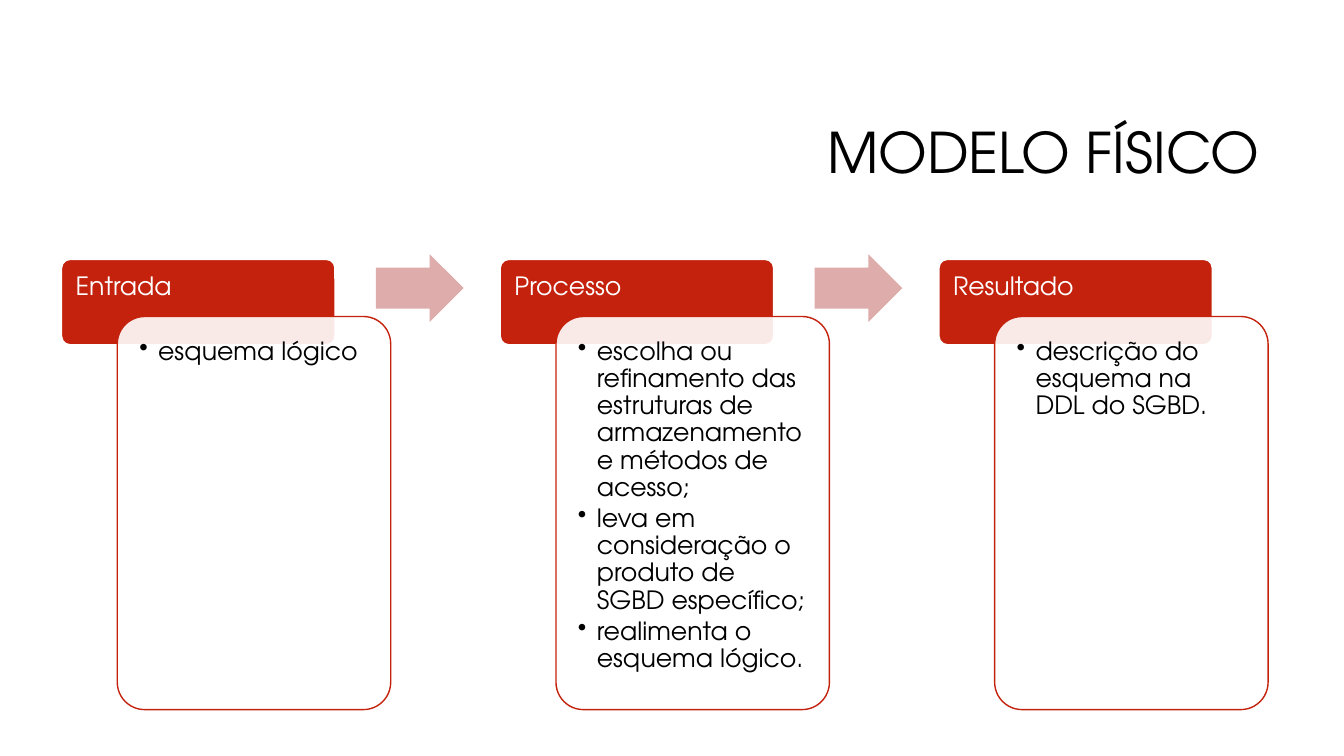
from lxml import etree
from pptx import Presentation
from pptx.dml.color import RGBColor
from pptx.enum.shapes import MSO_SHAPE as Shape
from pptx.enum.text import MSO_ANCHOR as Anchor, PP_ALIGN as Align
from pptx.oxml.ns import qn
from pptx.util import Pt

TITLE = "MODELO FÍSICO"
STAGES = [
    ("Entrada", ["esquema lógico"]),
    ("Processo", [
        "escolha ou refinamento das estruturas de armazenamento e métodos de acesso;",
        "leva em consideração o produto de SGBD específico;",
        "realimenta o esquema lógico.",
    ]),
    ("Resultado", ["descrição do esquema na DDL do SGBD."]),
]

FONT = "TeX Gyre Adventor"
RED, PINK, WHITE, BLACK = "C4220D", "DEACAB", "FFFFFF", "000000"
LEFT, PITCH, WIDTH = 44, 313.35, 195.3
HEADER_TOP, HEADER_HEIGHT = 185.3, 61
CARD_SHIFT, CARD_TOP, CARD_HEIGHT = 39.8, 226.1, 280.8
ARROW_SHIFT, ARROW_TOP, ARROW_WIDTH, ARROW_HEIGHT = 224.5, 181.5, 62.7, 48.6
BULLET_INDENT = 13.5


def color(code):
    return RGBColor.from_string(code)


def add_block(page, kind, place, adjustments, fill, line=None):
    block = page.shapes.add_shape(kind, *map(Pt, place))
    for index, value in enumerate(adjustments):
        block.adjustments[index] = value
    block.shadow.inherit = False
    block.fill.solid()
    block.fill.fore_color.rgb = color(fill)
    if line:
        block.line.color.rgb = color(line)
        block.line.width = Pt(1)
    else:
        block.line.fill.background()
    return block


def write(box, lines, size, ink, align=Align.LEFT, anchor=Anchor.TOP,
          insets=(7.2, 3.6, 7.2, 3.6), space_after=0):
    frame = box.text_frame
    frame.word_wrap = True
    frame.vertical_anchor = anchor
    (frame.margin_left, frame.margin_top,
     frame.margin_right, frame.margin_bottom) = map(Pt, insets)
    frame.text = "\n".join(lines)
    for para in frame.paragraphs:
        para.alignment = align
        para.line_spacing = 0.9
        para.space_after = Pt(space_after)
        para.font.name = FONT
        para.font.size = Pt(size)
        para.font.color.rgb = color(ink)


def add_bullets(box):
    for para in box.text_frame.paragraphs:
        settings = para._p.get_or_add_pPr()
        settings.set("marL", str(Pt(BULLET_INDENT)))
        settings.set("indent", str(-Pt(BULLET_INDENT)))
        bullet = etree.Element(qn("a:buChar"), char="•")
        settings.find(qn("a:defRPr")).addprevious(bullet)


def set_opacity(block, percent):
    tone = block._element.spPr.find(qn("a:solidFill"))[0]
    etree.SubElement(tone, qn("a:alpha"), val=str(percent * 1000))


def add_stage(page, left, name, points):
    header = add_block(page, Shape.ROUNDED_RECTANGLE,
                       (left, HEADER_TOP, WIDTH, HEADER_HEIGHT), [0.1], RED, WHITE)
    write(header, [name], 18, WHITE, insets=(8.3, 8.3, 8.3, 5))
    card = add_block(page, Shape.ROUNDED_RECTANGLE,
                     (left + CARD_SHIFT, CARD_TOP, WIDTH, CARD_HEIGHT), [0.1], WHITE, RED)
    set_opacity(card, 90)
    write(card, points, 18, BLACK, insets=(10, 10, 10, 10), space_after=2.7)
    add_bullets(card)


def main():
    deck = Presentation()
    deck.slide_width, deck.slide_height = Pt(960), Pt(540)
    page = deck.slides.add_slide(deck.slide_layouts[6])

    title = page.shapes.add_textbox(Pt(228), Pt(60.5), Pt(678.5), Pt(101.5))
    write(title, [TITLE], 40, BLACK, Align.RIGHT, Anchor.MIDDLE)

    for index, (name, points) in enumerate(STAGES):
        left = LEFT + index * PITCH
        add_stage(page, left, name, points)
        if index < len(STAGES) - 1:
            add_block(page, Shape.RIGHT_ARROW,
                      (left + ARROW_SHIFT, ARROW_TOP, ARROW_WIDTH, ARROW_HEIGHT),
                      [0.6, 0.5], PINK)

    deck.save("out.pptx")


if __name__ == "__main__":
    main()
